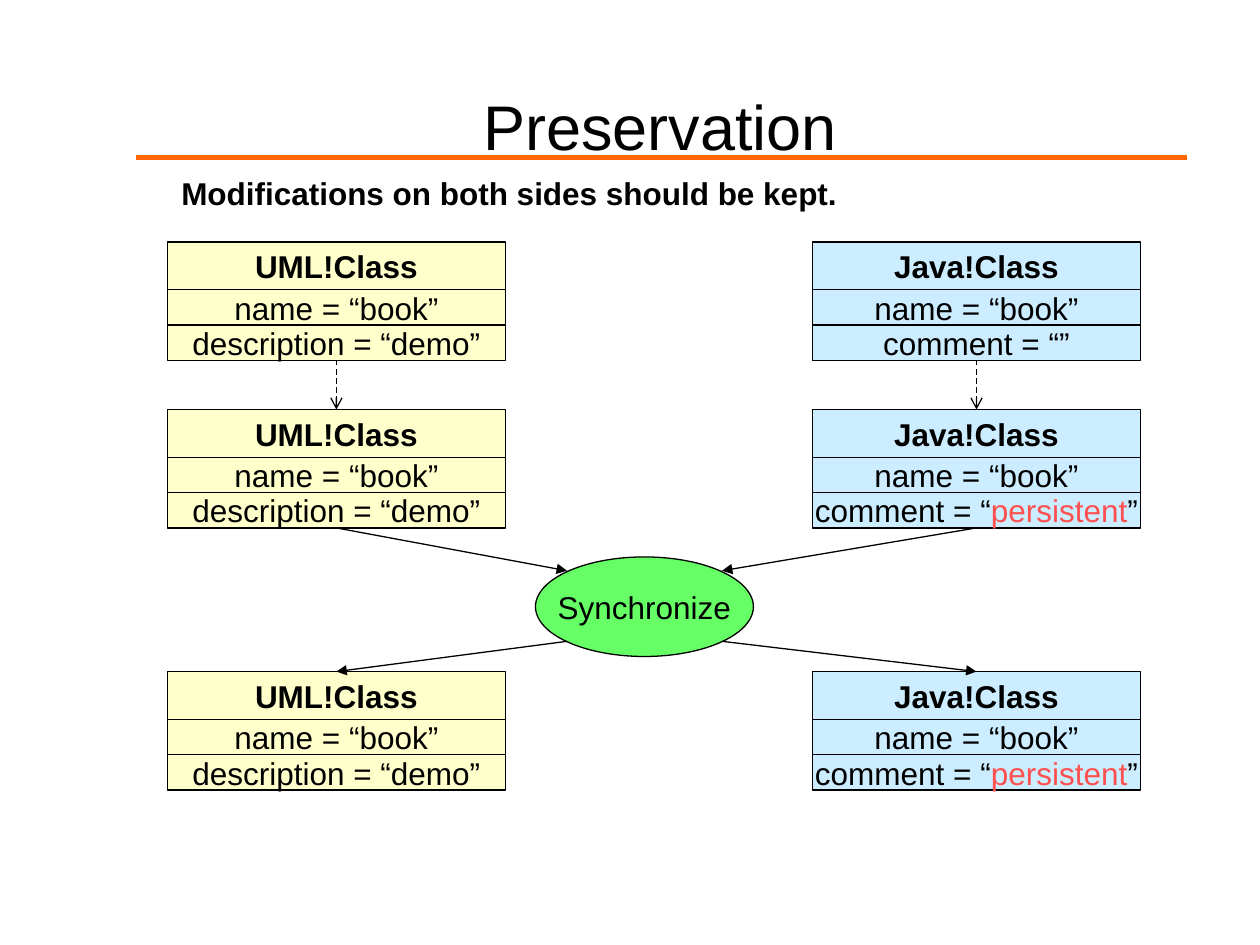
from dataclasses import dataclass

from lxml import etree
from pptx import Presentation
from pptx import util as u
from pptx.dml.color import RGBColor
from pptx.enum import dml, shapes, text
from pptx.oxml.ns import qn


@dataclass(frozen=True)
class Theme:
    font: str = "Arial"
    ink: str = "000000"
    rule: str = "FF6600"
    uml: str = "FFFFCC"
    java: str = "CCECFF"
    sync: str = "66FF66"
    changed: str = "FF5050"
    title_size: int = 36
    body_size: int = 18
    thin: float = 0.75
    thick: float = 2.75


theme = Theme()
PX = 9144


def write(shape, runs, size=theme.body_size, bold=False, align=text.PP_ALIGN.CENTER, wrap=False):
    frame = shape.text_frame
    frame.word_wrap = wrap
    frame.vertical_anchor = text.MSO_ANCHOR.MIDDLE
    paragraph = frame.paragraphs[0]
    paragraph.alignment = align
    for words, color in runs:
        run = paragraph.add_run()
        run.text = words
        run.font.name = theme.font
        run.font.size = u.Pt(size)
        run.font.bold = bold
        run.font.color.rgb = RGBColor.from_string(color)


def draw_line(start, end, color=theme.ink, width=theme.thin, head=None):
    connector = slide.shapes.add_connector(
        shapes.MSO_CONNECTOR.STRAIGHT, *[value * PX for value in (*start, *end)])
    connector.line.color.rgb = RGBColor.from_string(color)
    connector.line.width = u.Pt(width)
    properties = connector.element.spPr
    if head:
        etree.SubElement(properties.find(qn("a:ln")), qn("a:tailEnd"), type=head)
    etree.SubElement(properties, qn("a:effectLst"))
    return connector


presentation = Presentation()
presentation.slide_width = 1000 * PX
presentation.slide_height = 750 * PX
slide = presentation.slides.add_slide(presentation.slide_layouts[5])

draw_line((108, 125), (942, 125), theme.rule, theme.thick)

title = slide.shapes.title
title.left, title.top, title.width, title.height = [value * PX for value in (91, 60, 866, 79)]
write(title, [("Preservation", theme.ink)], theme.title_size, wrap=True)

name = [("name = “book”", theme.ink)]
description = [("description = “demo”", theme.ink)]
empty_comment = [("comment = “”", theme.ink)]
kept_comment = [("comment = “", theme.ink), ("persistent", theme.changed), ("”", theme.ink)]
sides = [
    ("UML!Class", 133, 268, theme.uml, [description] * 3),
    ("Java!Class", 645, 260, theme.java, [empty_comment, kept_comment, kept_comment]),
]
stage_tops = [192, 325, 533]
row_heights = [38, 28, 28]

class_boxes = []
for heading, left, width, fill, details in sides:
    stages = []
    for top, detail in zip(stage_tops, details):
        group = slide.shapes.add_group_shape()
        rows = []
        for index, runs in enumerate([[(heading, theme.ink)], name, detail]):
            row = group.shapes.add_shape(
                shapes.MSO_SHAPE.RECTANGLE, left * PX, (top + sum(row_heights[:index])) * PX,
                width * PX, row_heights[index] * PX)
            row.shadow.inherit = False
            row.fill.solid()
            row.fill.fore_color.rgb = RGBColor.from_string(fill)
            row.line.color.rgb = RGBColor.from_string(theme.ink)
            row.line.width = u.Pt(theme.thin)
            write(row, runs, bold=index == 0)
            rows.append(row)
        stages.append(rows)
    class_boxes.append(stages)

synchronize = slide.shapes.add_shape(
    shapes.MSO_SHAPE.OVAL, 425 * PX, 442 * PX, 173 * PX, 79 * PX)
synchronize.shadow.inherit = False
synchronize.fill.solid()
synchronize.fill.fore_color.rgb = RGBColor.from_string(theme.sync)
synchronize.line.color.rgb = RGBColor.from_string(theme.ink)
synchronize.line.width = u.Pt(theme.thin)
write(synchronize, [("Synchronize", theme.ink)])

for (before, after, result), oval_x in zip(class_boxes, (450, 573)):
    modify = draw_line((0, 0), (0, 0), head="arrow")
    modify.line.dash_style = dml.MSO_LINE.DASH
    modify.begin_connect(before[-1], 2)
    modify.end_connect(after[0], 0)

    merge = draw_line((oval_x, 453), (oval_x, 453), head="triangle")
    merge.begin_connect(after[-1], 2)

    update = draw_line((oval_x, 509), (oval_x, 509), head="triangle")
    update.end_connect(result[0], 0)

statement = slide.shapes.add_textbox(134 * PX, 133 * PX, 541 * PX, 40 * PX)
write(statement, [("Modifications on both sides should be kept.", theme.ink)],
      bold=True, align=text.PP_ALIGN.LEFT)

presentation.save("out.pptx")
